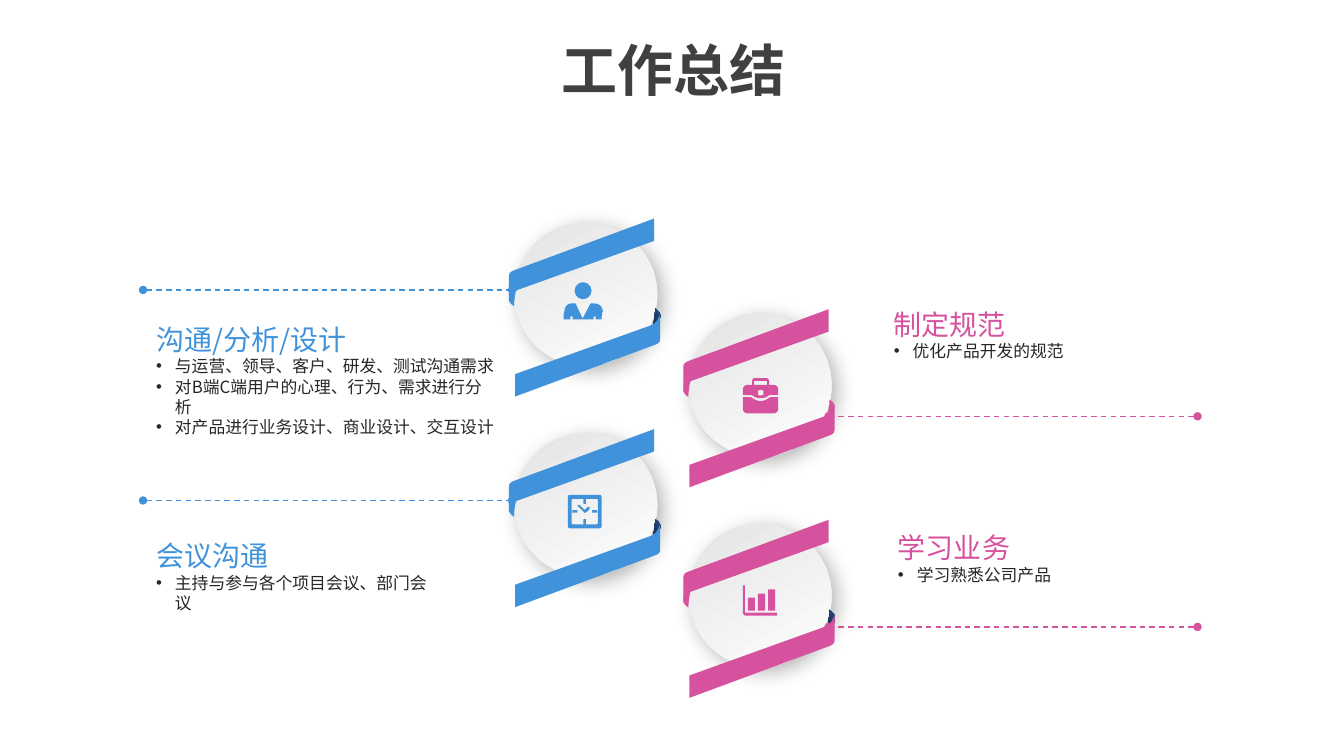
from lxml.etree import SubElement
from pptx import Presentation
from pptx.dml.color import RGBColor
from pptx.enum.dml import MSO_LINE
from pptx.enum.shapes import MSO_CONNECTOR, MSO_SHAPE
from pptx.enum.text import PP_ALIGN
from pptx.oxml.ns import qn
from pptx.util import Pt

FONT = "Noto Sans CJK SC"
BLUE = RGBColor(0x40, 0x93, 0xDA)
PINK = RGBColor(0xD7, 0x52, 0x9E)
TITLE_GREY = RGBColor(0x40, 0x40, 0x40)
BODY_GREY = RGBColor(0x26, 0x26, 0x26)
DISC = (RGBColor(0xE4, 0xE4, 0xE4), RGBColor(0xFE, 0xFE, 0xFE))
NAVY = (RGBColor(0x1B, 0x2C, 0x45), RGBColor(0x25, 0x4E, 0x8C))


def rounded(x, y, w, h, r):
    """Outline of a rounded rectangle."""
    right, bottom = x + w, y + h
    return [(x + r, y), (right - r, y), (right, y, right, y, right, y + r),
            (right, bottom - r), (right, bottom, right, bottom, right - r, bottom),
            (x + r, bottom), (x, bottom, x, bottom, x, bottom - r),
            (x, y + r), (x, y, x, y, x + r, y)]


# Content: column, row, accent, dark fold, icon, text box, heading, points
TITLE = "工作总结"
TOPICS = [
    (0, 0, BLUE, True, "person", (104.4, 225.4, 256.5, 75), "沟通/分析/设计",
     ["与运营、领导、客户、研发、测试沟通需求",
      "对B端C端用户的心理、行为、需求进行分析",
      "对产品进行业务设计、商业设计、交互设计"]),
    (0, 1, BLUE, True, "clock", (104.4, 380.2, 219.6, 60.5), "会议沟通",
     ["主持与参与各个项目会议、部门会议"]),
    (1, 0, PINK, False, "briefcase", (631.4, 214.6, 136, 46), "制定规范",
     ["优化产品开发的规范"]),
    (1, 1, PINK, True, "bars", (634.3, 374.4, 124, 46), "学习业务",
     ["学习熟悉公司产品"]),
]

# Outlines in points from the disc's corner: 2 numbers a line, 6 a curve
FOLD = [(1.4, 48.2), (0.7, 51.8, 0, 56.2, 0, 59.8),
        (-0.7, 59, -3.6, 57.6, -3.6, 54.7), (-2.9, 47.5)]
RIBBON = [(100.1, 13), (100.1, -3), (0.7, 33.8), (-1.4, 34.6, -3.6, 35.3, -3.6, 38.2),
          (-3.6, 56.2), (-1.4, 50.4, 0, 49.7, 2.2, 48.2)]
BAR_FOOT = 61.9
ICONS = {
    "person": [
        rounded(43.2, 42.5, 12.2, 12.2, 0),
        [(40.3, 69.1), (40.3, 67), (41.8, 67), (41.8, 69.1), (56.9, 69.1), (56.9, 67),
         (58.3, 67), (58.3, 69.1), (62.6, 69.1), (62.6, 64.1, 63.4, 63.4, 63.4, 63.4),
         (63.4, 59.8, 60.5, 57.6, 56.9, 57.6), (54.7, 57.6), (49, 68.4), (43.9, 57.6),
         (41.8, 57.6), (38.2, 57.6, 36, 59.8, 36, 63.4),
         (36, 63.4, 35.3, 64.1, 35.3, 69.1)]],
    "clock": [
        rounded(38.4, 43.9, 24.2, 24, 3.8), rounded(41.1, 46.8, 18.8, 18.2, 2.2),
        *[rounded(49.6, y, 1.8, 3.6, 0.9) for y in (46.9, 61.3)],
        *[rounded(x, 54.9, 3.6, 1.8, 0.9) for x in (41.6, 55.7)],
        [(51.8, 56.2), (54, 54), (54, 52.6), (52.6, 52.6), (50.4, 54.7), (46.8, 51.1),
         (45.4, 51.1), (45.4, 51.8), (49, 55.4), (50.4, 56.9)]],
    "briefcase": [
        [(51.8, 62.6), (49, 62.6, 46.8, 61.2, 44.6, 59.8), (38.9, 59.8), (38.9, 68.4),
         (38.9, 69.8, 40.3, 71.3, 41.8, 71.3), (61.2, 71.3),
         (62.6, 71.3, 64.1, 69.8, 64.1, 68.4), (64.1, 59.8), (58.3, 59.8),
         (56.2, 61.2, 54, 62.6, 51.8, 62.6)],
        [(61.2, 51.1), (57.6, 51.1), (57.6, 49), (57.6, 47.5, 56.9, 46.1, 55.4, 46.1),
         (47.5, 46.1), (46.1, 46.1, 45.4, 47.5, 45.4, 49), (45.4, 51.1), (41.8, 51.1),
         (40.3, 51.1, 38.9, 52.6, 38.9, 54), (38.9, 58.3), (45.4, 58.3),
         (46.8, 59.8, 49, 60.5, 51.8, 60.5), (54, 60.5, 56.2, 59.8, 57.6, 58.3),
         (64.1, 58.3), (64.1, 54), (64.1, 52.6, 62.6, 51.1, 61.2, 51.1)],
        rounded(46.8, 48.2, 9.4, 2.9, 0.7), rounded(49.7, 54.7, 3.8, 3.8, 1.9)],
    "bars": [
        *[rounded(x, top, 5, BAR_FOOT - top, 0.4)
          for x, top in ((42.5, 52.6), (49.7, 49.7), (56.9, 46.8))],
        [(38.9, 43.9), (40.3, 43.9), (40.3, 63.4), (63.4, 63.4), (63.4, 65.5),
         (41, 65.5), (39.6, 65.5, 38.9, 64.1, 38.9, 63.4)]],
}
ICONS["person"].pop(0)  # the head is a true ellipse, drawn below
HEAD = (43.2, 42.5, 12.2)

# Layout
DISC_SIZE = 102.2
LEFT, TOP = 367.2, 159.1
COLUMN_STEP, STAGGER, ROW_STEP = 124.56, 64.8, 150.4
LEADERS = [(102.2, 365.8, 48), (855.4, 591.8, 73.5)]  # outer x, inner x, drop

deck = Presentation()
deck.slide_width, deck.slide_height = Pt(960), Pt(540)
slide = deck.slides.add_slide(deck.slide_layouts[6])
shapes = slide.shapes


def paint(shape, color, angle=0):
    shape.shadow.inherit = False
    shape.line.fill.background()
    if isinstance(color, RGBColor):
        shape.fill.solid()
        shape.fill.fore_color.rgb = color
        return
    shape.fill.gradient()
    shape.fill.gradient_angle = angle
    for stop, stop_color in zip(shape.fill.gradient_stops, color):
        stop.color.rgb = stop_color


def flatten(outline, steps=8):
    points = [outline[0]]
    for part in outline[1:]:
        if len(part) == 2:
            points.append(part)
            continue
        anchors = [points[-1], part[:2], part[2:4], part[4:]]
        for t in (i / steps for i in range(1, steps + 1)):
            weights = ((1 - t) ** 3, 3 * t * (1 - t) ** 2, 3 * t * t * (1 - t), t ** 3)
            points.append(tuple(sum(w * a[k] for w, a in zip(weights, anchors))
                                for k in (0, 1)))
    return points


def draw(outlines, x, y, color, turned=False, angle=0):
    builder = None
    for outline in outlines:
        points = [(100.8 - px, 121.2 - py) if turned else (px, py)
                  for px, py in flatten(outline)]
        points = [(Pt(x + px), Pt(y + py)) for px, py in points]
        if builder is None:
            builder = shapes.build_freeform(*points[0], scale=1.0)
        else:
            builder.move_to(*points[0])
        builder.add_line_segments(points[1:], close=True)
    paint(builder.convert_to_shape(), color, angle)


def ellipse(x, y, size, color, angle=0):
    oval = shapes.add_shape(MSO_SHAPE.OVAL, Pt(x), Pt(y), Pt(size), Pt(size))
    paint(oval, color, angle)
    return oval


def write(box, lines, inset):
    """Fill a text box; each line is (text, size, color, bold, bulleted)."""
    frame = shapes.add_textbox(*map(Pt, box)).text_frame
    frame.word_wrap = True
    frame.margin_top = Pt(inset)
    frame.text = "\n".join(line[0] for line in lines)
    for paragraph, (_, size, color, bold, bulleted) in zip(frame.paragraphs, lines):
        paragraph.line_spacing = Pt(round(size * 1.21, 1))
        font = paragraph.runs[0].font
        font.name, font.size, font.bold = FONT, Pt(size), bold
        font.color.rgb = color
        SubElement(paragraph.runs[0].font._element, qn("a:ea"), typeface=FONT)
        if bulleted:
            props = paragraph._p.get_or_add_pPr()
            props.set("marL", str(Pt(13.5)))
            props.set("indent", str(-Pt(13.5)))
            SubElement(props, qn("a:buFont"), typeface="Arial")
            SubElement(props, qn("a:buChar"), char="•")
    return frame


# Title
write((393.8, 17.3, 174.2, 55.4), [(TITLE, 40, TITLE_GREY, True, False)],
      8).paragraphs[0].alignment = PP_ALIGN.CENTER

for column, row, accent, dark_fold, icon, box, heading, points in TOPICS:
    x = LEFT + column * COLUMN_STEP
    y = TOP + column * STAGGER + row * ROW_STEP

    # Disc with soft shadow
    disc = ellipse(x, y, DISC_SIZE, DISC, 300)
    effects = disc._element.spPr.find(qn("a:effectLst"))
    shadow = SubElement(effects, qn("a:outerShdw"), blurRad=str(Pt(15)),
                        dist=str(Pt(5)), dir="2700000", algn="tl", rotWithShape="0")
    black = SubElement(shadow, qn("a:srgbClr"), val="000000")
    SubElement(black, qn("a:alpha"), val="30000")

    # Ribbons, the lower one a half turn of the upper
    for turned in (False, True):
        draw([FOLD], x, y, NAVY if turned and dark_fold else accent, turned, 40)
        draw([RIBBON], x, y, accent, turned)

    # Icon
    draw(ICONS[icon], x, y, accent)
    if icon == "person":
        ellipse(x + HEAD[0], y + HEAD[1], HEAD[2], accent)

    # Dashed leader
    outer, inner, drop = LEADERS[column]
    leader = shapes.add_connector(MSO_CONNECTOR.STRAIGHT, Pt(outer), Pt(y + drop),
                                  Pt(inner), Pt(y + drop))
    leader.line.color.rgb, leader.line.width = accent, Pt(1)
    leader.line.dash_style = MSO_LINE.DASH
    for end in ("a:headEnd", "a:tailEnd"):
        SubElement(leader.line._get_or_add_ln(), qn(end), type="oval")
    SubElement(leader._element.spPr, qn("a:effectLst"))

    # Heading and points
    write(box, [(heading, 20, accent, False, False)]
          + [(point, 12, BODY_GREY, False, True) for point in points], 4.5)

deck.save("out.pptx")
